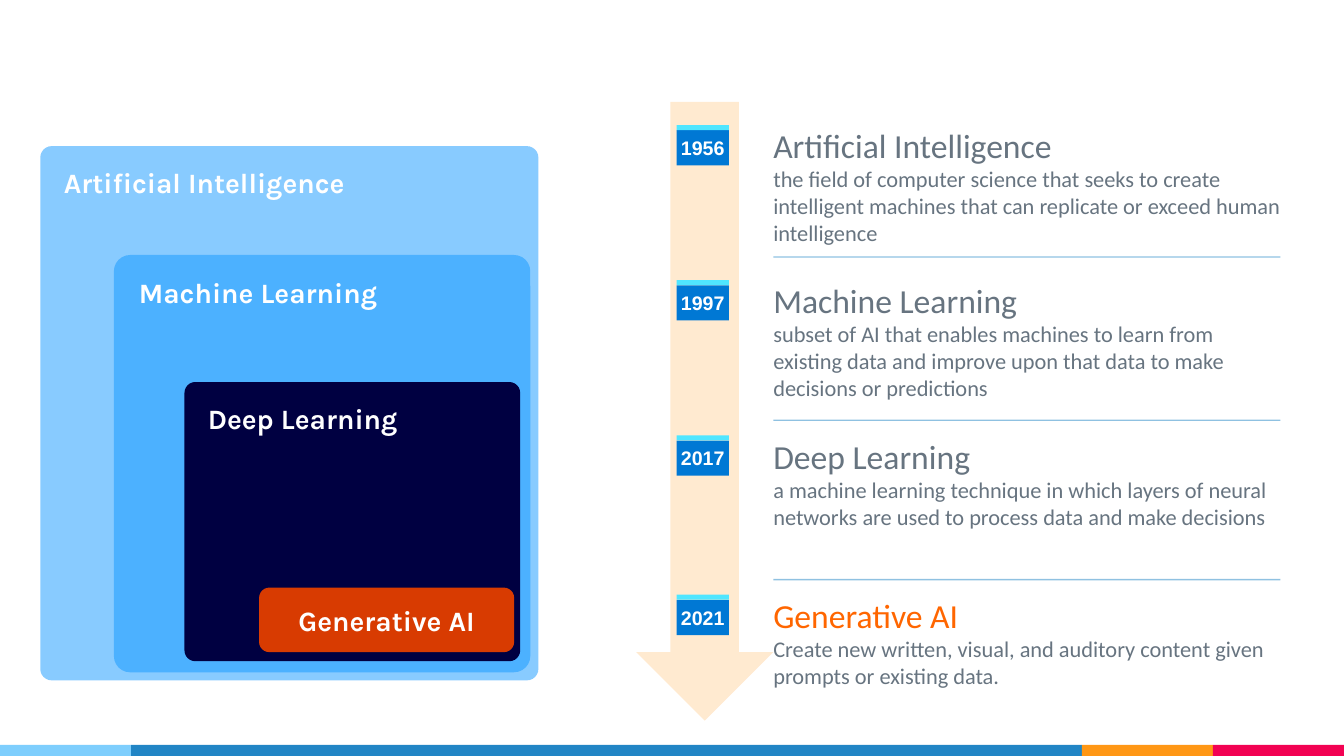
from lxml.etree import SubElement
from pptx import Presentation
from pptx.dml.color import RGBColor
from pptx.enum.shapes import MSO_CONNECTOR, MSO_SHAPE
from pptx.enum.text import MSO_ANCHOR, MSO_AUTO_SIZE, PP_ALIGN
from pptx.oxml.ns import qn
from pptx.util import Inches, Pt

COLORS = {
    "white": "FFFFFF", "gray": "677480", "orange": "FF6600",
    "sky": "7ECEFD", "blue": "2185C5", "amber": "FF9715", "pink": "F20253",
    "ai": "88CBFF", "ml": "4CB1FF", "dl": "000041", "genai": "D83B01",
    "arrow": "FFEAD0", "badge": "0078D4", "badge_top": "50E6FF",
}

prs = Presentation()
prs.slide_width, prs.slide_height = Inches(13.33), Inches(7.5)
slide = prs.slides.add_slide(prs.slide_layouts[6])


def add_block(kind, left, top, width, height, color):
    block = slide.shapes.add_shape(
        kind, Inches(left), Inches(top), Inches(width), Inches(height))
    block.shadow.inherit = False
    block.fill.solid()
    block.fill.fore_color.rgb = RGBColor.from_string(COLORS[color])
    block.line.fill.background()
    return block


def style(paragraph, font_name, size, color, bold=False):
    font = paragraph.runs[0].font
    font.name, font.size, font.bold = font_name, Pt(size), bold
    font.color.rgb = RGBColor.from_string(COLORS[color])


for left, width, color in [(0, 1.3, "sky"), (1.3, 9.43, "blue"),
                           (10.73, 1.3, "amber"), (12.03, 1.3, "pink")]:
    add_block(MSO_SHAPE.RECTANGLE, left, 7.39, width, 0.11, color)

layers = [
    ("Artificial Intelligence", 0.4, 1.45, 4.94, 5.3, 0.023, "ai"),
    ("Machine Learning", 1.13, 2.53, 4.13, 4.14, 0.039, "ml"),
    ("Deep Learning", 1.83, 3.79, 3.33, 2.77, 0.039, "dl"),
    ("Generative AI", 2.57, 5.83, 2.53, 0.64, 0.159, "genai"),
]
for label, left, top, width, height, rounding, color in layers:
    layer = add_block(MSO_SHAPE.ROUNDED_RECTANGLE, left, top, width, height, color)
    layer.adjustments[0] = rounding
    frame = layer.text_frame
    frame.margin_left = frame.margin_right = Inches(0.2)
    frame.margin_top = frame.margin_bottom = Inches(0.16)
    innermost = color == "genai"
    frame.vertical_anchor = MSO_ANCHOR.MIDDLE if innermost else MSO_ANCHOR.TOP
    frame.text = label
    frame.paragraphs[0].alignment = PP_ALIGN.CENTER if innermost else PP_ALIGN.LEFT
    style(frame.paragraphs[0], "Karla", 20, "white", True)

add_block(MSO_SHAPE.DOWN_ARROW, 6.31, 1.01, 1.36, 6.14, "arrow")

for y in (2.55, 4.17, 5.75):
    divider = slide.shapes.add_connector(
        MSO_CONNECTOR.STRAIGHT, Inches(7.67), Inches(y), Inches(12.7), Inches(y))
    divider.line.width = Pt(1)
    divider.line.color.rgb = RGBColor.from_string(COLORS["blue"])
    tint = divider._element.spPr.find(".//" + qn("a:srgbClr"))
    SubElement(tint, qn("a:alpha"), val="50000")
    SubElement(divider._element.spPr, qn("a:effectLst"))

milestones = [
    ("1956", 1.24, 1.21, "Artificial Intelligence", "gray",
     "the field of computer science that seeks to create intelligent machines "
     "that can replicate or exceed human intelligence"),
    ("1997", 2.78, 1.21, "Machine Learning", "gray",
     "subset of AI that enables machines to learn from existing data and "
     "improve upon that data to make decisions or predictions"),
    ("2017", 4.32, 1.21, "Deep Learning", "gray",
     "a machine learning technique in which layers of neural networks are "
     "used to process data and make decisions"),
    ("2021", 5.9, 0.94, "Generative AI", "orange",
     "Create new written, visual, and auditory content given prompts or "
     "existing data."),
]
for year, top, height, title, title_color, description in milestones:
    badge = add_block(MSO_SHAPE.RECTANGLE, 6.71, top + 0.05, 0.52, 0.35, "badge")
    add_block(MSO_SHAPE.RECTANGLE, 6.71, top, 0.52, 0.05, "badge_top")
    entry = slide.shapes.add_textbox(
        Inches(7.67), Inches(top), Inches(5.03), Inches(height))
    for frame in (badge.text_frame, entry.text_frame):
        frame.margin_left = frame.margin_right = 0
        frame.margin_top = frame.margin_bottom = 0
    badge.text_frame.vertical_anchor = MSO_ANCHOR.MIDDLE
    badge.text_frame.text = year
    badge.text_frame.paragraphs[0].alignment = PP_ALIGN.CENTER
    style(badge.text_frame.paragraphs[0], "Arial", 14, "white", True)

    entry.text_frame.word_wrap = True
    entry.text_frame.auto_size = MSO_AUTO_SIZE.SHAPE_TO_FIT_TEXT
    entry.text_frame.text = title
    style(entry.text_frame.paragraphs[0], "Calibri", 24, title_color)
    detail = entry.text_frame.add_paragraph()
    detail.text = description
    detail.space_after = Pt(6)
    style(detail, "Calibri", 16, "gray")

prs.save("out.pptx")
